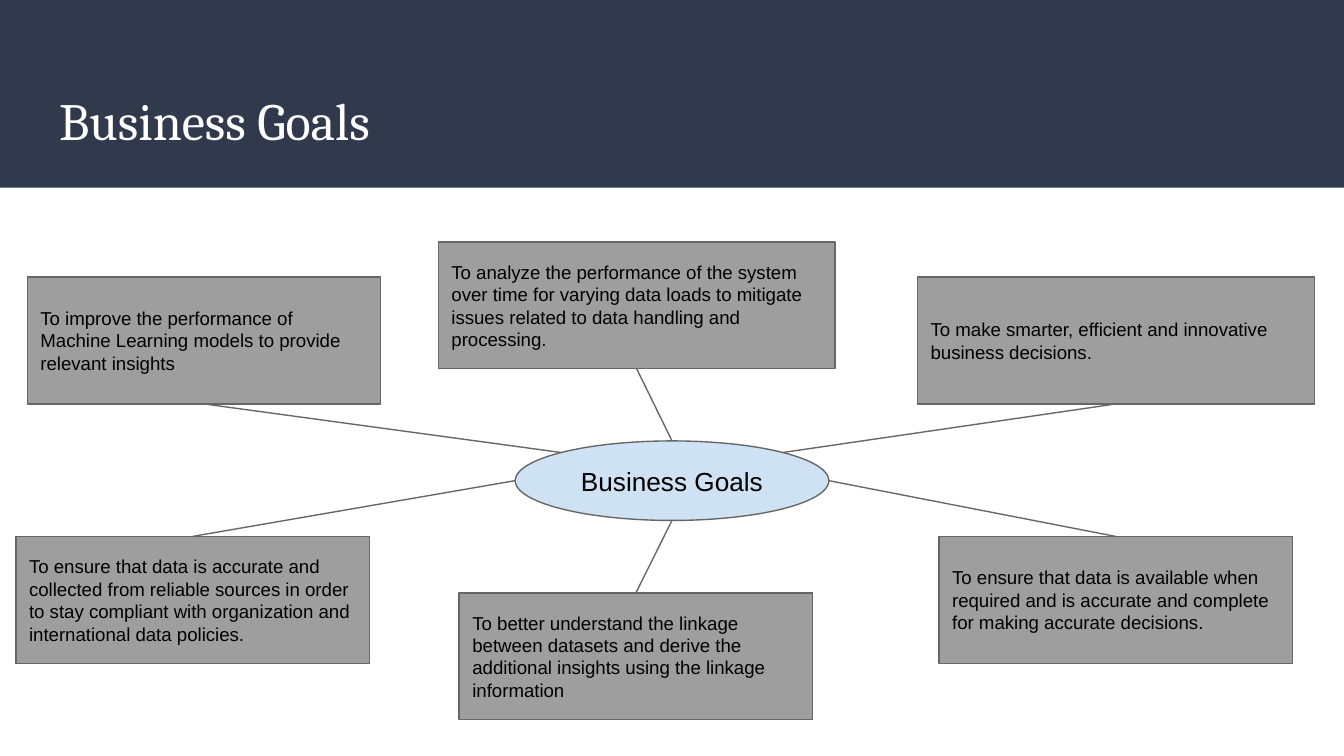
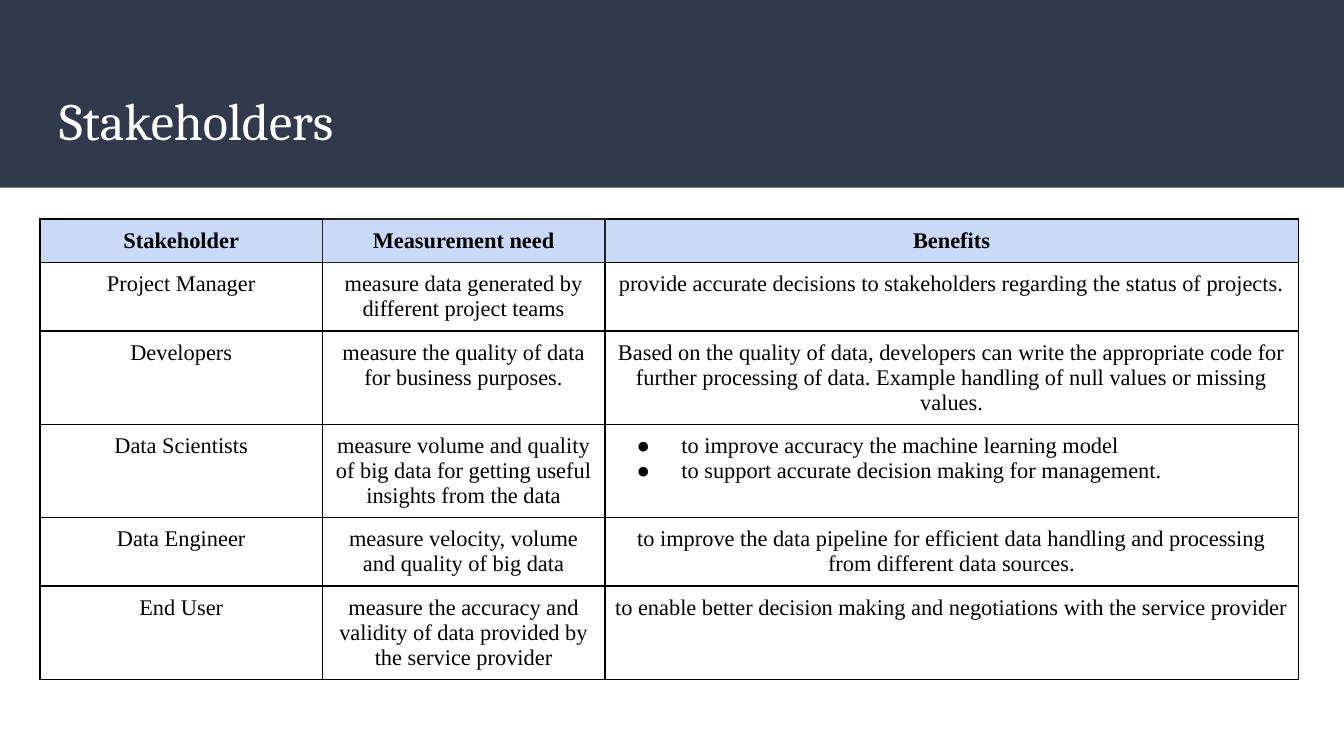
"""Build two slides: a map of business goals and a table of stakeholders."""
from math import cos, radians, sin
from typing import NamedTuple

from lxml.etree import SubElement as Sub
from pptx import Presentation
from pptx.dml.color import RGBColor as Rgb
from pptx.enum.shapes import MSO_CONNECTOR as Link, MSO_SHAPE as Form
from pptx.enum.text import MSO_ANCHOR as Anchor, MSO_AUTO_SIZE as Fit, PP_ALIGN as Align
from pptx.oxml.ns import qn
from pptx.shapes.autoshape import Shape
from pptx.slide import Slide, SlideLayout as Layout
from pptx.table import _Cell as Cell
from pptx.text.text import TextFrame as Frame, _Paragraph as Para
from pptx.util import Pt

NAVY, WHITE, BLACK = "31394D", "FFFFFF", "000000"
SKY, STONE, EDGE = "CFE2F3", "9E9E9E", "666666"
HEAD, DARK = "C9DAF8", "222222"
WIDE, SLIM, TALL = 212.6, 189.4, 68
COLS = (151.3, 151.3, 371.5)
LINE, PAD, INSET = 13.3, 5, 7.2
DARK_EDGES = {(0, 0): "R", (0, 1): "LRTB", (0, 2): "L", (1, 1): "T"}


class Box(NamedTuple):
    """Place and size in points."""
    left: float
    top: float
    width: float
    height: float


class Style(NamedTuple):
    """Look of a run of text."""
    font: str
    size: float
    tone: str = BLACK
    bold: bool = False


class Goal(NamedTuple):
    """Goal box and the angle at which its line meets the hub."""
    text: str
    box: Box
    angle: int


class Row(NamedTuple):
    """Table row and the lines of text it holds."""
    who: str
    need: str
    gains: tuple[str, ...]
    lines: int


HUB = Box(276, 236.2, 168, 42.6)
TITLE = Style("Cambria", 28, WHITE)
GOALS = (
    Goal("To make smarter, efficient and innovative business decisions.",
         Box(491.5, 148.4, WIDE, TALL), 315),
    Goal("To analyze the performance of the system over time for varying data loads "
         "to mitigate issues related to data handling and processing.",
         Box(234.8, 129.6, WIDE, TALL), 270),
    Goal("To improve the performance of Machine Learning models to provide "
         "relevant insights",
         Box(14.6, 148.4, SLIM, TALL), 225),
    Goal("To ensure that data is accurate and collected from reliable sources in order "
         "to stay compliant with organization and international data policies.",
         Box(8.5, 287.4, SLIM, TALL), 180),
    Goal("To better understand the linkage between datasets and derive the additional "
         "insights using the linkage information",
         Box(246, 317.6, SLIM, TALL), 90),
    Goal("To ensure that data is available when required and is accurate and complete "
         "for making accurate decisions.",
         Box(503, 287.4, SLIM, TALL), 0),
)
ROWS = (
    Row("Stakeholder", "Measurement need", ("Benefits",), 1),
    Row("Project Manager", "measure data generated by different project teams",
        ("provide accurate decisions to stakeholders regarding the status of projects.",), 2),
    Row("Developers", "measure the quality of data for business purposes.",
        ("Based on the quality of data, developers can write the appropriate code for "
         "further processing of data. Example handling of null values or missing values.",), 3),
    Row("Data Scientists",
        "measure volume and quality of big data for getting useful insights from the data",
        ("to improve accuracy the machine learning model",
         "to support accurate decision making for management."), 3),
    Row("Data Engineer", "measure velocity, volume and quality of big data",
        ("to improve the data pipeline for efficient data handling and processing "
         "from different data sources.",), 2),
    Row("End User",
        "measure the accuracy and validity of data provided by the service provider",
        ("to enable better decision making and negotiations with the service provider",), 3),
)


def rgb(tone: str) -> Rgb:
    """Turn a hex string into a colour."""
    return Rgb.from_string(tone)


def write(para: Para, text: str, style: Style, align: Align) -> None:
    """Add one styled run to a paragraph."""
    para.alignment = align
    run = para.add_run()
    run.text = text
    run.font.name, run.font.size = style.font, Pt(style.size)
    run.font.bold, run.font.color.rgb = style.bold, rgb(style.tone)


def frame_up(frame: Frame) -> None:
    """Wrap a text frame, centre it upright and set its insets."""
    frame.word_wrap, frame.auto_size = True, Fit.NONE
    frame.vertical_anchor = Anchor.MIDDLE
    frame.margin_left = frame.margin_right = Pt(INSET)
    frame.margin_top = frame.margin_bottom = Pt(INSET)


def add_form(slide: Slide, form: Form, box: Box, fill: str, edge: str = "") -> Shape:
    """Draw a filled shape, with an outline if an edge colour is given."""
    shape = slide.shapes.add_shape(form, *map(Pt, box))
    shape.shadow.inherit = False
    shape.fill.solid()
    shape.fill.fore_color.rgb = rgb(fill)
    if edge:
        shape.line.color.rgb, shape.line.width = rgb(edge), Pt(0.75)
    else:
        shape.line.fill.background()
    return shape


def add_label(slide: Slide, form: Form, box: Box, fill: str, text: str,
              size: float, align: Align) -> Shape:
    """Draw an outlined shape with text."""
    shape = add_form(slide, form, box, fill, EDGE)
    frame_up(shape.text_frame)
    write(shape.text_frame.paragraphs[0], text, Style("Arial", size), align)
    return shape


def add_link(slide: Slide, goal: Goal, shape: Shape) -> None:
    """Join a goal box to the rim of the hub."""
    angle = radians(goal.angle)
    end_x = HUB.left + HUB.width / 2 * (1 + cos(angle))
    end_y = HUB.top + HUB.height / 2 * (1 + sin(angle))
    link = slide.shapes.add_connector(Link.STRAIGHT, 0, 0, Pt(end_x), Pt(end_y))
    link.begin_connect(shape, 2 if goal.box.top < HUB.top else 0)
    link.line.color.rgb, link.line.width = rgb(EDGE), Pt(0.75)
    Sub(link.element.spPr, qn("a:effectLst"))


def add_band(slide: Slide, layout: Layout) -> None:
    """Place the top band on the layout, behind its titles."""
    band = add_form(slide, Form.RECTANGLE, Box(0, 0, 720, 100.5), NAVY)
    layout.placeholders[0].element.getparent().insert(2, band.element)


def set_title(slide: Slide, text: str) -> None:
    """Move, fill and format the title."""
    title = slide.shapes.title
    title.left, title.top, title.width, title.height = map(Pt, Box(24.5, 39.6, 671, 49))
    frame_up(title.text_frame)
    write(title.text_frame.paragraphs[0], text, TITLE, Align.LEFT)


def add_rule(cell: Cell, side: str, tone: str) -> None:
    """Draw one border of a cell."""
    rule = Sub(cell._tc.get_or_add_tcPr(), qn(f"a:ln{side}"), w=str(Pt(1)))
    Sub(Sub(rule, qn("a:solidFill")), qn("a:srgbClr"), val=tone)


def add_dot(para: Para) -> None:
    """Give a paragraph a round bullet."""
    props = para._p.get_or_add_pPr()
    props.set("marL", str(Pt(36)))
    props.set("indent", str(Pt(-24)))
    Sub(Sub(props, qn("a:buClr")), qn("a:srgbClr"), val=BLACK)
    Sub(props, qn("a:buFont"), typeface="Times New Roman")
    Sub(props, qn("a:buChar"), char="●")


def fill_cell(cell: Cell, texts: tuple[str, ...], head: bool, dark: str) -> None:
    """Write a cell, with bullets if it holds several texts, and style it."""
    cell.margin_left = cell.margin_right = Pt(PAD)
    cell.margin_top = cell.margin_bottom = Pt(PAD)
    for side in "LRTB":
        add_rule(cell, side, DARK if side in dark else BLACK)
    if head:
        cell.fill.solid()
        cell.fill.fore_color.rgb = rgb(HEAD)
    else:
        cell.fill.background()
    frame, many = cell.text_frame, len(texts) > 1
    style = Style("Times New Roman", 12, bold=head)
    for i, text in enumerate(texts):
        para = frame.add_paragraph() if i else frame.paragraphs[0]
        write(para, text, style, Align.LEFT if many else Align.CENTER)
        if many:
            add_dot(para)


def draw_goals(slide: Slide) -> None:
    """Draw the hub, its goals and their links."""
    add_label(slide, Form.OVAL, HUB, SKY, "Business Goals", 14, Align.CENTER)
    shapes = [add_label(slide, Form.RECTANGLE, goal.box, STONE, goal.text, 10, Align.LEFT)
              for goal in GOALS]
    for goal, shape in zip(GOALS, shapes):
        add_link(slide, goal, shape)


def draw_table(slide: Slide) -> None:
    """Draw the table of stakeholders."""
    highs = [row.lines * LINE + 2 * PAD for row in ROWS]
    box = Box(21.5, 117.4, sum(COLS), sum(highs))
    table = slide.shapes.add_table(len(ROWS), len(COLS), *map(Pt, box)).table
    table.first_row = table.horz_banding = False
    for col, width in zip(table.columns, COLS):
        col.width = Pt(width)
    for r, (row, high) in enumerate(zip(ROWS, highs)):
        table.rows[r].height = Pt(high)
        for c, texts in enumerate(((row.who,), (row.need,), row.gains)):
            fill_cell(table.cell(r, c), texts, r == 0, DARK_EDGES.get((r, c), ""))


def main() -> None:
    """Build and save the deck."""
    deck = Presentation()
    deck.slide_width, deck.slide_height = Pt(720), Pt(405)
    layout = deck.slide_layouts[5]
    pages = (("Business Goals", draw_goals), ("Stakeholders", draw_table))
    for i, (title, draw) in enumerate(pages):
        slide = deck.slides.add_slide(layout)
        if i == 0:
            add_band(slide, layout)
        set_title(slide, title)
        draw(slide)
    deck.save("out.pptx")


if __name__ == "__main__":
    main()
